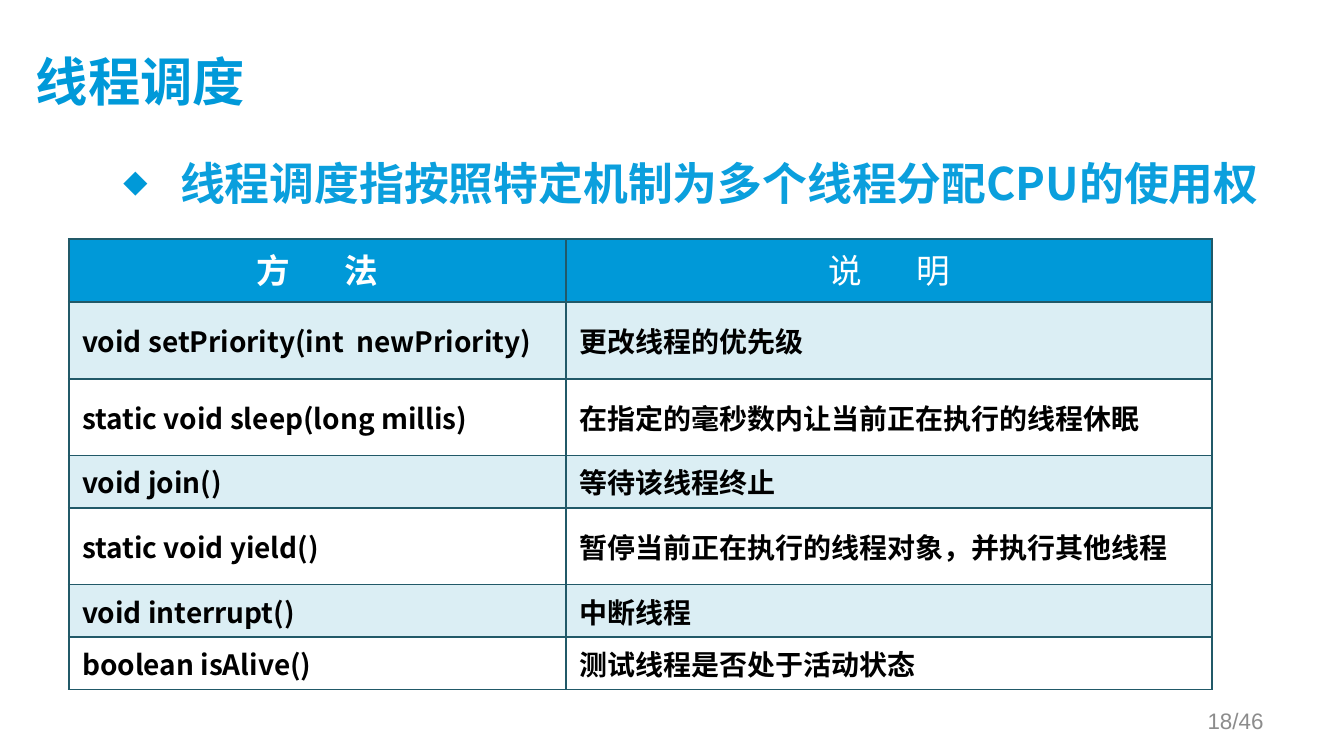
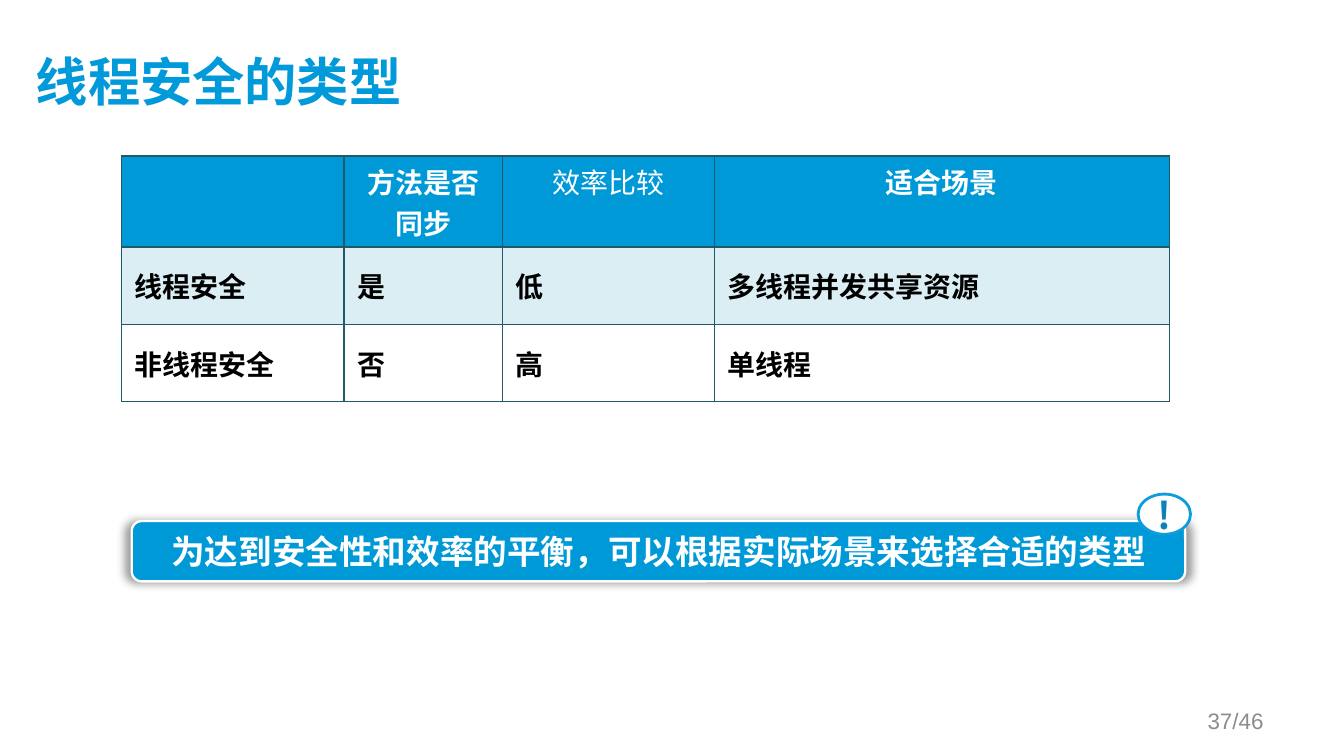
from dataclasses import dataclass

from lxml import etree
from pptx import Presentation
from pptx.dml.color import RGBColor
from pptx.enum.shapes import MSO_SHAPE
from pptx.enum.text import MSO_ANCHOR, MSO_AUTO_SIZE, PP_ALIGN
from pptx.oxml.ns import qn
from pptx.util import Cm, Pt

LEFT, MID, RIGHT = PP_ALIGN.LEFT, PP_ALIGN.CENTER, PP_ALIGN.RIGHT
TOP, CENTER = MSO_ANCHOR.TOP, MSO_ANCHOR.MIDDLE
FIXED = MSO_AUTO_SIZE.NONE
ROUND, OVAL = MSO_SHAPE.ROUNDED_RECTANGLE, MSO_SHAPE.OVAL


@dataclass(frozen=True)
class Theme:
    # Colours
    blue: str = "0099D8"
    head: str = "0099D9"
    point: str = "0B9FDD"
    ring: str = "0E9CDE"
    mark: str = "0C83B8"
    pale: str = "DBEEF4"
    grid: str = "215968"
    white: str = "FFFFFF"
    black: str = "000000"
    grey: str = "8C8C8C"
    # Fonts
    main: str = "Noto Sans CJK SC"
    call: str = "Calibri"
    foot: str = "Arial"
    # Type sizes
    title: int = 28
    body: int = 24
    badge: int = 20
    large: int = 18
    cell: int = 15
    small: int = 12


T = Theme()
TOTAL = 46


def put(item, values):
    for name, value in values.items():
        setattr(item, name, value)


def add(root, tag, **values):
    return etree.SubElement(root, qn(tag), values)


def place(item, box):
    put(item, dict(zip(("left", "top", "width", "height"), map(Cm, box))))


def write(frame, text, size, tint, name=T.main, bold=True, align=LEFT, gap=0):
    """Fill the first paragraph; gap is extra space after its first letter."""
    line = frame.paragraphs[0]
    put(line, {"alignment": align, "space_before": Pt(0)})
    for part in ((text[0], text[1:]) if gap else (text,)):
        run = line.add_run()
        run.text = part
        put(run.font, {"size": Pt(size), "bold": bold, "name": name})
        run.font.color.rgb = RGBColor.from_string(tint)
        add(run.font._element, "a:ea", typeface=T.main)
    if gap:
        line.runs[0].font._element.set("spc", str(gap * 100))
    return line


def paint(item, fill, edge, width):
    item.shadow.inherit = False
    item.fill.solid()
    item.fill.fore_color.rgb = RGBColor.from_string(fill)
    item.line.color.rgb = RGBColor.from_string(edge)
    item.line.width = Pt(width)


# Title and page number, found on each slide
def base(deck, layout, title, page):
    slide = deck.slides.add_slide(deck.slide_layouts[layout])
    head = slide.shapes.title
    place(head, (0.68, 0.6, 22.73, 1.96))
    put(head.text_frame, {
        "auto_size": FIXED, "vertical_anchor": CENTER, "margin_left": 0,
        "margin_top": 0, "margin_right": Cm(0.25), "margin_bottom": Cm(0.13)})
    write(head.text_frame, title, T.title, T.head)

    foot = slide.shapes.add_textbox(*map(Cm, (18.21, 13.24, 5.92, 0.76)))
    put(foot.text_frame, {"word_wrap": True, "vertical_anchor": CENTER})
    write(foot.text_frame, f"{page}/{TOTAL}", T.small, T.grey, T.foot,
          bold=False, align=RIGHT)
    return slide


# Bulleted statement
def point(slide, box, text):
    body = slide.placeholders[1]
    place(body, box)
    put(body.text_frame, {"auto_size": FIXED, "vertical_anchor": TOP})
    line = write(body.text_frame, text, T.body, T.point)
    props = line._p.get_or_add_pPr()
    props.set("marL", str(Cm(1.27)))
    props.set("indent", str(-Cm(1.07)))
    add(add(props, "a:buClr"), "a:srgbClr", val=T.blue)
    add(props, "a:buSzPct", val="55000")
    add(props, "a:buFont", typeface=T.main)
    add(props, "a:buChar", char="◆")


def frame(cell):
    props = cell._tc.get_or_add_tcPr()
    for side in "LRTB":
        edge = add(props, f"a:ln{side}", w=str(Pt(1)))
        add(add(edge, "a:solidFill"), "a:srgbClr", val=T.grid)


# Table with a blue head and banded rows
def grid(slide, spot, wide, high, rows, size, thin, gap=0):
    """thin is the column whose heading is not bold."""
    box = (*spot, sum(wide), sum(high))
    table = slide.shapes.add_table(len(rows), len(wide), *map(Cm, box)).table
    table.horz_banding = False
    for col, width in zip(table.columns, wide):
        col.width = Cm(width)
    for r, (row, height) in enumerate(zip(rows, high)):
        table.rows[r].height = Cm(height)
        for c, text in enumerate(row):
            cell = table.cell(r, c)
            frame(cell)
            put(cell, {
                "margin_left": Cm(0.25), "margin_right": Cm(0.25),
                "margin_top": Cm(0.1), "margin_bottom": Cm(0.1),
                "vertical_anchor": CENTER if r else TOP})
            fill = (T.pale if r % 2 else T.white) if r else T.blue
            cell.fill.solid()
            cell.fill.fore_color.rgb = RGBColor.from_string(fill)
            if text and r:
                write(cell.text_frame, text, T.cell, T.black)
            elif text:
                write(cell.text_frame, text, size, T.white, bold=c != thin,
                      align=MID, gap=gap)


# Callout bar with a badge on its top right corner
def callout(slide, box, text):
    left, top, width, height = box
    bar = slide.shapes.add_shape(ROUND, *map(Cm, box))
    paint(bar, T.blue, T.white, 1.25)
    glow = add(bar._element.spPr.find(qn("a:effectLst")), "a:outerShdw",
               blurRad=str(Pt(5)), dist="0", dir="0", sx="101000",
               algn="ctr", rotWithShape="0")
    add(add(glow, "a:srgbClr", val=T.black), "a:alpha", val="40000")
    put(bar.text_frame, {"word_wrap": True, "vertical_anchor": CENTER})
    write(bar.text_frame, text, T.large, T.white, T.call, align=MID)

    spot = (left + width - 0.89, top - 0.51, 0.99, 0.76)
    badge = slide.shapes.add_shape(OVAL, *map(Cm, spot))
    paint(badge, T.white, T.ring, 1.5)
    put(badge.text_frame, {
        "word_wrap": False, "vertical_anchor": CENTER, "margin_left": 0,
        "margin_right": 0, "margin_top": 0, "margin_bottom": 0})
    write(badge.text_frame, "!", T.badge, T.mark, align=MID)


def control(deck):
    slide = base(deck, 1, "线程调度", 18)
    point(slide, (1.88, 2.82, 22.81, 9.42),
          "线程调度指按照特定机制为多个线程分配CPU的使用权")
    rows = (
        ("方法", "说明"),
        ("void setPriority(int  newPriority)", "更改线程的优先级"),
        ("static void sleep(long millis)",
         "在指定的毫秒数内让当前正在执行的线程休眠"),
        ("void join()", "等待该线程终止"),
        ("static void yield()", "暂停当前正在执行的线程对象，并执行其他线程"),
        ("void interrupt()", "中断线程"),
        ("boolean isAlive()", "测试线程是否处于活动状态"),
    )
    high = (1.19, 1.45, 1.45, 0.99, 1.45, 0.99, 0.99)
    grid(slide, (1.3, 4.52), (9.4, 12.2), high, rows, T.large, 1, gap=29)


def safety(deck):
    slide = base(deck, 5, "线程安全的类型", 37)
    rows = (
        ("", "方法是否同步", "效率比较", "适合场景"),
        ("线程安全", "是", "低", "多线程并发共享资源"),
        ("非线程安全", "否", "高", "单线程"),
    )
    # The head holds two lines, so its row is taller
    grid(slide, (2.3, 2.95), (4.2, 3, 4, 8.6), (1.72, 1.46, 1.46), rows,
         T.cell, 2)
    callout(slide, (2.49, 9.85, 19.91, 1.14),
            "为达到安全性和效率的平衡，可以根据实际场景来选择合适的类型")


def main():
    deck = Presentation()
    put(deck, {"slide_width": Cm(25.4), "slide_height": Cm(14.29)})
    control(deck)
    safety(deck)
    deck.save("out.pptx")


if __name__ == "__main__":
    main()
